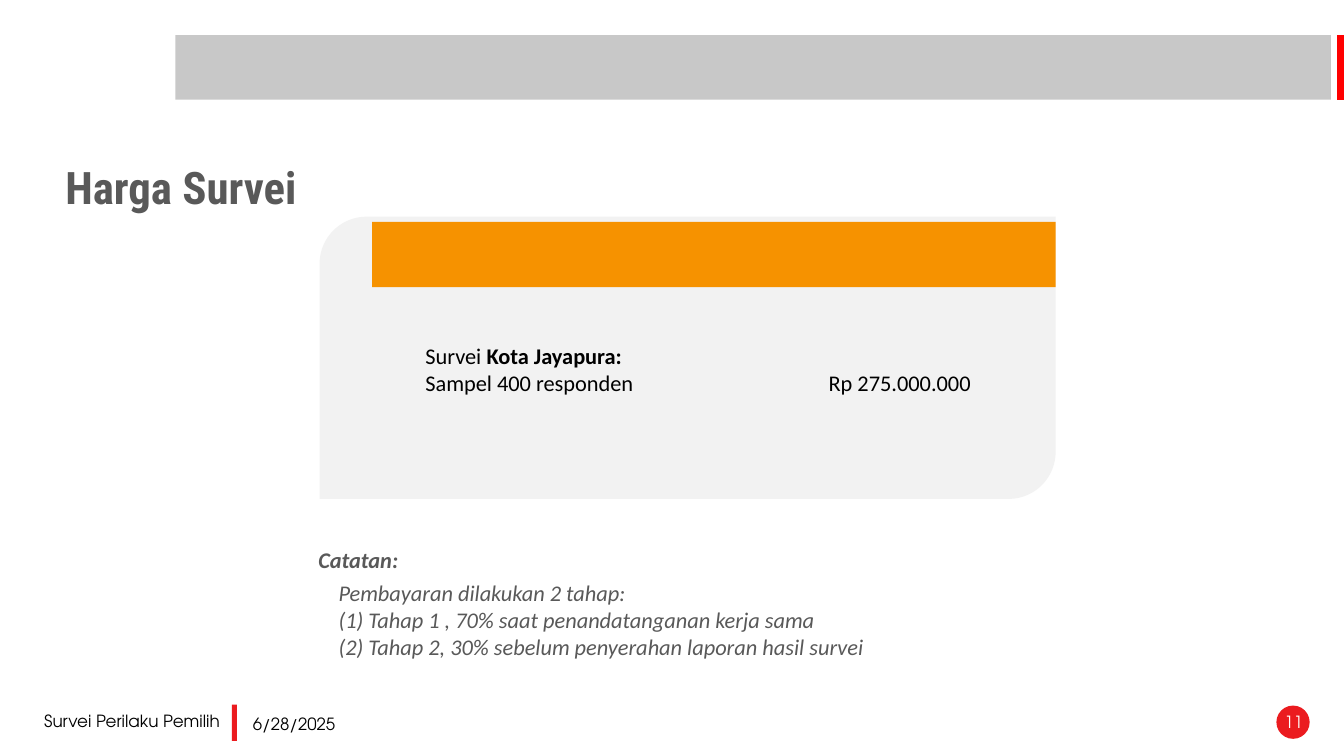
from lxml.etree import SubElement
from pptx import Presentation
from pptx.dml.color import RGBColor
from pptx.enum.shapes import MSO_CONNECTOR, MSO_SHAPE
from pptx.enum.text import MSO_ANCHOR, PP_ALIGN
from pptx.oxml.ns import qn
from pptx.util import Inches, Pt

BLACK = RGBColor(0x00, 0x00, 0x00)
WHITE = RGBColor(0xFF, 0xFF, 0xFF)
DARK_GREY = RGBColor(0x59, 0x59, 0x59)
BAND_GREY = RGBColor(0xC8, 0xC8, 0xC8)
CARD_GREY = RGBColor(0xF2, 0xF2, 0xF2)
ORANGE = RGBColor(0xF6, 0x92, 0x00)
ACCENT_RED = RGBColor(0xEB, 0x1B, 0x1F)
EDGE_RED = RGBColor(0xFF, 0x00, 0x00)

BODY_FONT = "Calibri"
TITLE_FONT = "Roboto Condensed"
FOOTER_FONT = "TeX Gyre Adventor"

# Content: each paragraph is a list of (text, bold) runs
TITLE = [[("Harga Survei", True)]]
PRICE = [
    [("Survei ", False), ("Kota Jayapura:", True)],
    [("Sampel 400 responden\tRp 275.000.000", False)],
]
NOTE_HEADING = [[("Catatan:", True)]]
NOTE_LINES = [
    [("Pembayaran dilakukan 2 tahap:", False)],
    [("(1) Tahap 1 , 70% saat penandatanganan kerja sama", False)],
    [("(2) Tahap 2, 30% sebelum penyerahan laporan hasil survei", False)],
]
# Footer: text, left, top, width, colour, alignment
FOOTER = [
    ("Survei Perilaku Pemilih", 0.34, 7.0, 2.1, BLACK, PP_ALIGN.LEFT),
    ("6/28/2025", 2.41, 7.03, 1.69, BLACK, PP_ALIGN.LEFT),
    ("11", 11.24, 7.01, 1.78, WHITE, PP_ALIGN.RIGHT),
]
PRICE_TAB = 4.0
CARD_RIGHT = 10.47
BAND_TOP, BAND_HEIGHT = 0.35, 0.64
EDGE_X = 13.3

deck = Presentation()
deck.slide_width, deck.slide_height = Inches(13.33), Inches(7.5)
slide = deck.slides.add_slide(deck.slide_layouts[6])


def add_block(preset, left, top, width, height, colour):
    block = slide.shapes.add_shape(
        preset, Inches(left), Inches(top), Inches(width), Inches(height))
    block.shadow.inherit = False
    block.fill.solid()
    block.fill.fore_color.rgb = colour
    block.line.fill.background()


def add_text(paragraphs, left, top, width, height, font=BODY_FONT, size=16,
             colour=DARK_GREY, italic=False, align=PP_ALIGN.LEFT):
    frame = slide.shapes.add_textbox(
        Inches(left), Inches(top), Inches(width), Inches(height)).text_frame
    frame.word_wrap = True
    for index, runs in enumerate(paragraphs):
        paragraph = frame.paragraphs[0] if index == 0 else frame.add_paragraph()
        paragraph.alignment = align
        for text, bold in runs:
            run = paragraph.add_run()
            run.text = text
            run.font.name = font
            run.font.size = Pt(size)
            run.font.bold = bold
            run.font.italic = italic
            run.font.color.rgb = colour
    return frame


# Header band and red edge
add_block(MSO_SHAPE.RECTANGLE, 1.74, BAND_TOP, 11.46, BAND_HEIGHT, BAND_GREY)
edge = slide.shapes.add_connector(
    MSO_CONNECTOR.STRAIGHT, Inches(EDGE_X), Inches(BAND_TOP),
    Inches(EDGE_X), Inches(BAND_TOP + BAND_HEIGHT))
edge.line.color.rgb = EDGE_RED
edge.line.width = Pt(6)
SubElement(edge._element.spPr, qn("a:effectLst"))

# Title
title = add_text(TITLE, 0.55, 1.42, 6.7, 0.92, font=TITLE_FONT, size=32)
title.vertical_anchor = MSO_ANCHOR.MIDDLE
title.paragraphs[0].line_spacing = 0.9

# Price card
add_block(MSO_SHAPE.ROUND_2_DIAG_RECTANGLE, 3.17, 2.15, CARD_RIGHT - 3.17, 2.8, CARD_GREY)
add_block(MSO_SHAPE.RECTANGLE, 3.69, 2.2, CARD_RIGHT - 3.69, 0.65, ORANGE)
price = add_text(PRICE, 4.12, 3.35, CARD_RIGHT - 4.12, 0.64, colour=BLACK)
tab_list = SubElement(price.paragraphs[1]._p.get_or_add_pPr(), qn("a:tabLst"))
SubElement(tab_list, qn("a:tab"), pos=str(Inches(PRICE_TAB)), algn="l")

# Payment notes
add_text(NOTE_HEADING, 3.06, 5.37, 1.06, 0.37, italic=True)
add_text(NOTE_LINES, 3.26, 5.7, 6.06, 0.91, italic=True)

# Footer
add_block(MSO_SHAPE.OVAL, 12.66, 7.0, 0.33, 0.33, ACCENT_RED)
add_block(MSO_SHAPE.RECTANGLE, 2.3, 6.99, 0.05, 0.36, ACCENT_RED)
for text, left, top, width, colour, align in FOOTER:
    add_text([[(text, False)]], left, top, width, 0.4, font=FOOTER_FONT,
             size=12, colour=colour, align=align)

deck.save("out.pptx")
